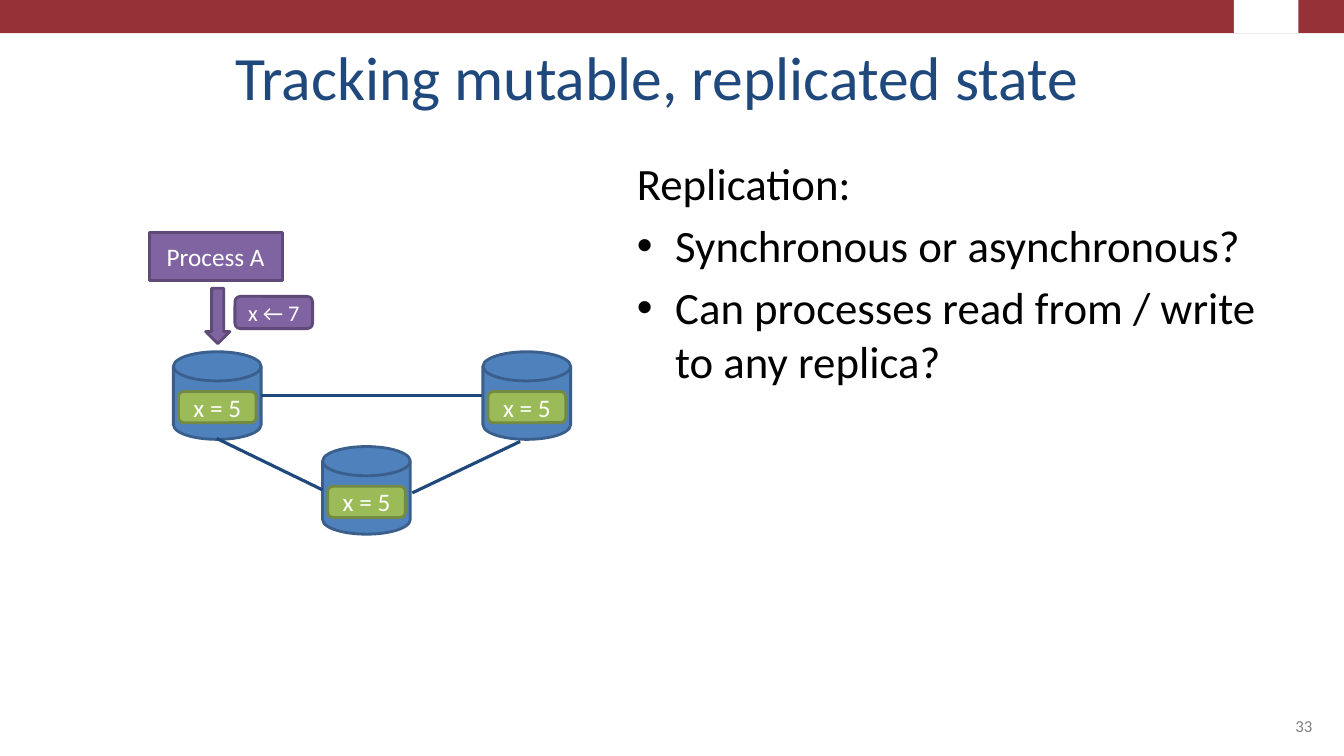
from lxml.etree import SubElement
from pptx import Presentation
from pptx.dml.color import RGBColor
from pptx.enum.shapes import MSO_CONNECTOR, MSO_SHAPE as SHAPE
from pptx.enum.text import MSO_ANCHOR as ANCHOR, MSO_AUTO_SIZE, PP_ALIGN as ALIGN
from pptx.oxml.ns import qn
from pptx.util import Inches, Pt

WHITE = RGBColor(0xFF, 0xFF, 0xFF)
BLACK = RGBColor(0x00, 0x00, 0x00)
GRAY = RGBColor(0x80, 0x80, 0x80)
RED = RGBColor(0x96, 0x32, 0x37)
NAVY = RGBColor(0x1F, 0x49, 0x7D)
BLUE, BLUE_EDGE = RGBColor(0x4F, 0x81, 0xBD), RGBColor(0x3A, 0x5F, 0x8C)
GREEN, GREEN_EDGE = RGBColor(0x9B, 0xBB, 0x59), RGBColor(0x73, 0x8A, 0x42)
PURPLE, PURPLE_EDGE = RGBColor(0x80, 0x64, 0xA2), RGBColor(0x5F, 0x4A, 0x78)

prs = Presentation()
prs.slide_width, prs.slide_height = Inches(13.33), Inches(7.5)
COL, ROW = prs.slide_width / 100, prs.slide_height / 100
s = prs.slides.add_slide(prs.slide_layouts[5])


def write(sp, text, size=18, color=WHITE, align=ALIGN.CENTER, anchor=ANCHOR.MIDDLE,
          inset=0.0, bullet=False, first=True):
    tf = sp.text_frame
    tf.word_wrap = True
    tf.auto_size = MSO_AUTO_SIZE.NONE
    tf.vertical_anchor = anchor
    tf.margin_left = tf.margin_right = Inches(inset)
    tf.margin_top = tf.margin_bottom = Inches(inset / 2)
    p = tf.paragraphs[0] if first else tf.add_paragraph()
    p.alignment = align
    if not first:
        p.space_before = Pt(6)
    if bullet:
        pPr = p._p.get_or_add_pPr()
        pPr.set("marL", str(Inches(0.38)))
        pPr.set("indent", str(-Inches(0.38)))
        SubElement(pPr, qn("a:buFont")).set("typeface", "Arial")
        SubElement(pPr, qn("a:buChar")).set("char", "•")
    r = p.add_run()
    r.text = text
    r.font.name, r.font.size, r.font.color.rgb = "Calibri", Pt(size), color


def shape(kind, x, y, w, h, fill, edge=None):
    sp = s.shapes.add_shape(kind, int(x * COL), int(y * ROW), int(w * COL), int(h * ROW))
    sp.shadow.inherit = False
    sp.fill.solid()
    sp.fill.fore_color.rgb = fill
    if edge is None:
        sp.line.fill.background()
    else:
        sp.line.color.rgb = edge
        sp.line.width = Pt(2)
    return sp


shape(SHAPE.RECTANGLE, 0, 0, 100, 4.4, RED)
shape(SHAPE.RECTANGLE, 91.8, 0, 4.8, 4.4, WHITE)

title = s.shapes.title
title.left, title.top = int(3.9 * COL), int(4 * ROW)
title.width, title.height = int(90 * COL), int(11.6 * ROW)
write(title, "Tracking mutable, replicated state", size=44, color=NAVY,
      anchor=ANCHOR.BOTTOM, inset=0.1)

for x, y in [(12.9, 46.53), (24, 59.07), (35.93, 46.53)]:
    shape(SHAPE.FLOWCHART_MAGNETIC_DISK, x, y, 6.53, 11.6, BLUE, BLUE_EDGE)
    value = shape(SHAPE.ROUNDED_RECTANGLE, x + 0.38, y + 5.25, 5.78, 4.13, GREEN, GREEN_EDGE)
    write(value, "x = 5")

process = shape(SHAPE.RECTANGLE, 11.1, 30.8, 9.9, 6.27, PURPLE, PURPLE_EDGE)
write(process, "Process A")
shape(SHAPE.DOWN_ARROW, 15.3, 38.13, 1.8, 7.33, PURPLE, PURPLE_EDGE)
update = shape(SHAPE.ROUNDED_RECTANGLE, 17.48, 39.2, 5.78, 4.27, PURPLE, PURPLE_EDGE)
write(update, "x ← 7", size=16)

for x1, y1, x2, y2 in [(16.13, 58, 24, 64.8), (30.68, 65.2, 38.7, 58.4),
                       (19.43, 52.27, 35.85, 52.27)]:
    link = s.shapes.add_connector(MSO_CONNECTOR.STRAIGHT, int(x1 * COL), int(y1 * ROW),
                                  int(x2 * COL), int(y2 * ROW))
    link.line.color.rgb = NAVY
    link.line.width = Pt(2.25)
    SubElement(link._element.spPr, qn("a:effectLst"))

number = s.shapes.add_textbox(int(71.7 * COL), int(91.07 * ROW), int(26.7 * COL), int(6.93 * ROW))
write(number, "33", size=12, color=GRAY, align=ALIGN.RIGHT, anchor=ANCHOR.BOTTOM, inset=0.1)

body = s.shapes.add_textbox(int(46.65 * COL), int(19.9 * ROW), int(49.43 * COL), int(71.2 * ROW))
for i, text in enumerate(["Replication:", "Synchronous or asynchronous?",
                          "Can processes read from / write to any replica?"]):
    write(body, text, size=32, color=BLACK, align=ALIGN.LEFT, anchor=ANCHOR.TOP,
          inset=0.1, bullet=i > 0, first=i == 0)

prs.save("out.pptx")
